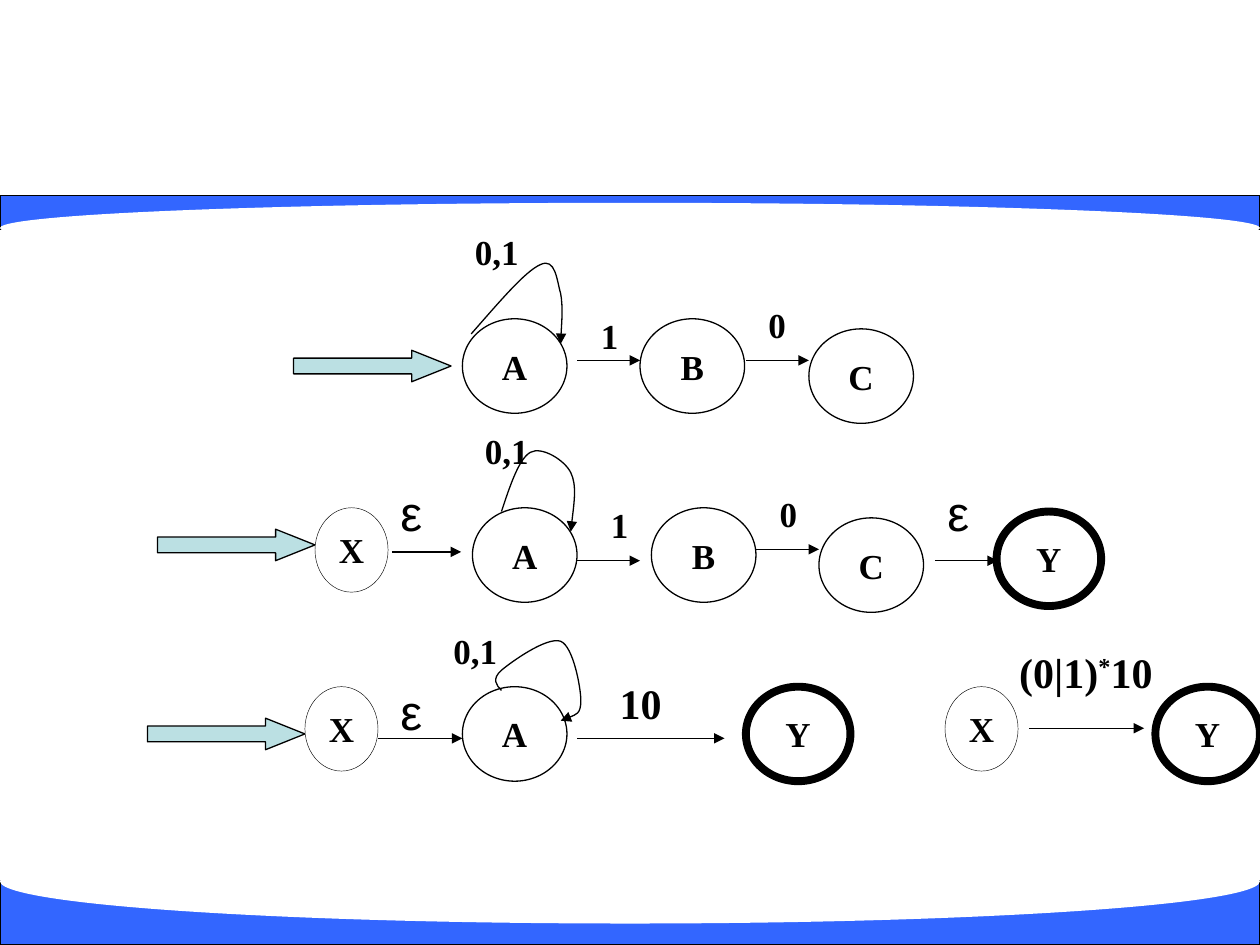
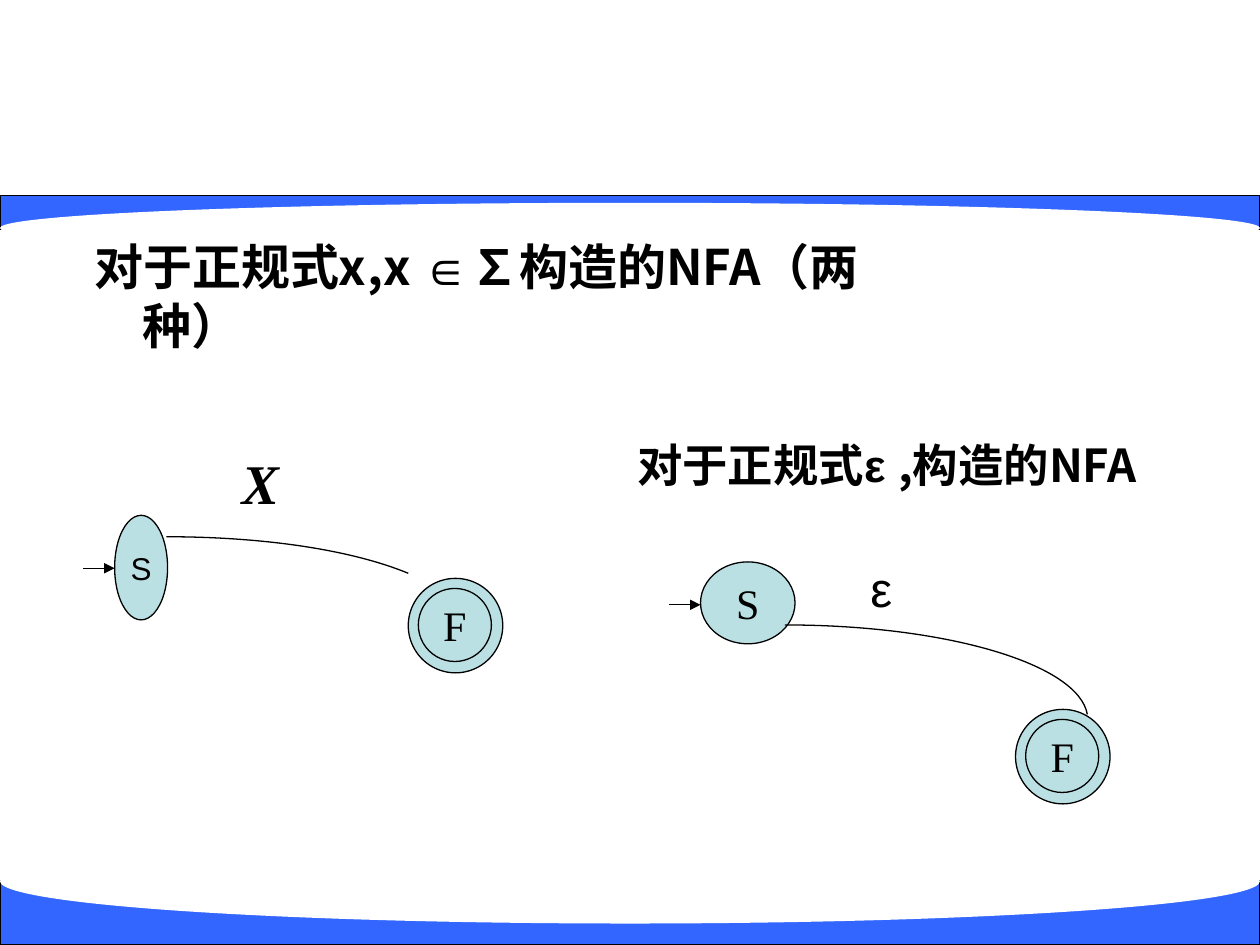
from dataclasses import dataclass
from typing import Any, NamedTuple

from lxml import etree
from pptx import Presentation
from pptx.dml.color import RGBColor
from pptx.enum.shapes import MSO_CONNECTOR, MSO_SHAPE
from pptx.enum.text import MSO_ANCHOR, PP_ALIGN
from pptx.oxml.ns import qn
from pptx.util import Emu, Pt

PX = 9144
ELLIPSE, RECT, ARROW = MSO_SHAPE.OVAL, MSO_SHAPE.RECTANGLE, MSO_SHAPE.RIGHT_ARROW
STRAIGHT = MSO_CONNECTOR.STRAIGHT
LEFT, CENTER = PP_ALIGN.LEFT, PP_ALIGN.CENTER
TOP, MIDDLE, BOTTOM = MSO_ANCHOR.TOP, MSO_ANCHOR.MIDDLE, MSO_ANCHOR.BOTTOM


@dataclass(frozen=True)
class Theme:
    black: RGBColor = RGBColor(0, 0, 0)
    white: RGBColor = RGBColor(255, 255, 255)
    band: RGBColor = RGBColor(0x33, 0x66, 0xFF)
    accent: RGBColor = RGBColor(0xBB, 0xE0, 0xE3)
    serif: str = "Times New Roman"
    sans: str = "Arial"
    cjk: str = "Noto Sans CJK SC"
    hairline: float = 0.25
    thin: float = 0.75
    thick: float = 4.5
    small: float = 18
    state: float = 20
    word: float = 24
    subhead: float = 25.9
    heading: float = 28
    symbol: float = 32


T = Theme()


class Box(NamedTuple):
    x: int
    y: int
    w: int
    h: int


class Run(NamedTuple):
    text: str
    font: str = T.serif
    size: float = T.state
    bold: bool = True
    italic: bool = False
    superscript: bool = False


@dataclass(frozen=True)
class State:
    x: int
    y: int
    run: Run | None
    w: int = 83
    h: int = 75
    line: float = T.thin
    fill: RGBColor = T.white


class Label(NamedTuple):
    box: Box
    runs: list[Run]
    wrap: bool = False
    align: Any = LEFT
    anchor: Any = TOP
    spacing: float | None = None
    hanging: int = 0


class Edge(NamedTuple):
    x1: int
    y: int
    x2: int


def style(target: Any, values: dict[str, Any]) -> None:
    for name, value in values.items():
        setattr(target, name, value)


def emu(*lengths: int) -> list[Emu]:
    return [Emu(n * PX) for n in lengths]


def outline(s: Any, width: float, arrow: bool = False) -> None:
    s.line.color.rgb = T.black
    s.line.width = Pt(width)
    if arrow:
        ln = s._element.spPr.find(qn("a:ln"))
        etree.SubElement(ln, qn("a:tailEnd"), type="triangle")


def draw_shape(shapes: Any, kind: Any, box: Box, fill: RGBColor, line: float = 0) -> Any:
    s = shapes.add_shape(kind, *emu(*box))
    s.shadow.inherit = False
    s.fill.solid()
    s.fill.fore_color.rgb = fill
    if line:
        outline(s, line)
    else:
        s.line.fill.background()
    return s


def write(tf: Any, label: Label) -> None:
    inset_x, inset_y = emu(10, 5)
    style(tf, dict(word_wrap=label.wrap, vertical_anchor=label.anchor,
                   margin_left=inset_x, margin_right=inset_x,
                   margin_top=inset_y, margin_bottom=inset_y))
    p = tf.paragraphs[0]
    style(p, dict(alignment=label.align, line_spacing=label.spacing))
    if label.hanging:
        indent = label.hanging * PX
        p_pr = p._p.get_or_add_pPr()
        p_pr.set("marL", str(indent))
        p_pr.set("indent", str(-indent))
    for run in label.runs:
        r = p.add_run()
        r.text = run.text
        style(r.font, dict(name=run.font, size=Pt(run.size), bold=run.bold, italic=run.italic))
        r.font.color.rgb = T.black
        r_pr = r._r.get_or_add_rPr()
        etree.SubElement(r_pr, qn("a:ea"), typeface=T.cjk)
        if run.superscript:
            r_pr.set("baseline", "30000")


def draw_label(shapes: Any, label: Label) -> None:
    write(shapes.add_textbox(*emu(*label.box)).text_frame, label)


def draw_state(shapes: Any, state: State) -> None:
    box = Box(state.x, state.y, state.w, state.h)
    s = draw_shape(shapes, ELLIPSE, box, state.fill, state.line)
    if state.run:
        write(s.text_frame, Label(box, [state.run], align=CENTER, anchor=MIDDLE))


def draw_edge(shapes: Any, edge: Edge) -> None:
    s = shapes.add_connector(STRAIGHT, *emu(edge.x1, edge.y, edge.x2, edge.y))
    outline(s, T.thin, arrow=True)
    etree.SubElement(s._element.spPr, qn("a:effectLst"))


def draw_curve(shapes: Any, points: list[tuple[int, int]], arrow: bool = False) -> None:
    builder = shapes.build_freeform(*points[0], scale=PX)
    builder.add_line_segments(points[1:], close=False)
    s = builder.convert_to_shape()
    s.shadow.inherit = False
    s.fill.background()
    outline(s, T.thin, arrow)
    outline_path = next(s._element.iter(qn("a:path")))
    segments = outline_path.findall(qn("a:lnTo"))
    for i in range(0, len(segments), 3):
        cubic = etree.SubElement(outline_path, qn("a:cubicBezTo"))
        for segment in segments[i:i + 3]:
            cubic.append(segment[0])
            outline_path.remove(segment)


def draw_bands(shapes: Any) -> None:
    for band, cutout in ((Box(0, 155, 1000, 27), Box(0, 161, 1000, 40)),
                         (Box(0, 699, 1000, 51), Box(0, 666, 1000, 67))):
        draw_shape(shapes, RECT, band, T.band, T.thin)
        draw_shape(shapes, ELLIPSE, cutout, T.white)


def inner(name: str, x: int, y: int) -> State:
    return State(x, y, Run(name))


def initial(x: int, y: int) -> State:
    return State(x, y, Run("X"), 58, 67, T.hairline)


def final(x: int, y: int) -> State:
    return State(x, y, Run("Y"), line=T.thick)


def symbols(text: str, x: int, y: int, w: int = 34) -> Label:
    return Label(Box(x, y, w, 44), [Run(text)])


def epsilon(x: int, y: int) -> Label:
    return Label(Box(x, y, 75, 57), [Run("ε", T.sans, T.heading, False)], wrap=True)


def draw_elimination(shapes: Any) -> None:
    edges = [Edge(458, 286, 508), Edge(592, 286, 642),
             Edge(311, 438, 366), Edge(458, 445, 508), Edge(600, 436, 650), Edge(742, 445, 792),
             Edge(300, 586, 367), Edge(458, 586, 575), Edge(817, 578, 908)]
    states = [inner("A", 367, 253), inner("B", 508, 253), inner("C", 642, 261),
              initial(250, 403), inner("A", 375, 403), inner("B", 517, 403),
              inner("C", 650, 411), final(791, 406),
              initial(242, 545), inner("A", 367, 545), final(592, 545),
              initial(750, 545), final(917, 545)]
    labels = [symbols("0,1", 367, 178, 55), symbols("1", 467, 245), symbols("0", 600, 236),
              symbols("0,1", 375, 336, 55), symbols("1", 475, 395), symbols("0", 609, 386),
              symbols("0,1", 350, 495, 55),
              epsilon(308, 378), epsilon(742, 378), epsilon(308, 536),
              Label(Box(482, 533, 53, 50), [Run("10", size=T.word)]),
              Label(Box(799, 508, 126, 50), [Run("(0|1)", size=T.word),
                                             Run("*", size=T.word, superscript=True),
                                             Run("10", size=T.word)])]
    loops = [
        [(374, 265), (396, 240), (417, 215), (429, 210), (441, 204), (442, 223), (445, 233),
         (447, 244), (445, 267), (445, 273)],
        [(398, 406), (405, 385), (412, 364), (421, 359), (430, 354), (448, 365), (453, 375),
         (458, 385), (455, 404), (453, 422)],
        [(398, 548), (394, 544), (390, 539), (398, 532), (405, 526), (434, 505), (445, 509),
         (455, 513), (461, 546), (461, 556), (461, 567), (453, 569), (445, 572)],
    ]
    for x, y in ((233, 278), (125, 420), (117, 570)):
        s = draw_shape(shapes, ARROW, Box(x, y, 125, 25), T.accent, T.thin)
        s.adjustments[1] = 1.25
    for edge in edges:
        draw_edge(shapes, edge)
    for state in states:
        draw_state(shapes, state)
    for label in labels:
        draw_label(shapes, label)
    for loop in loops:
        draw_curve(shapes, loop, arrow=True)


def draw_accepting(shapes: Any, x: int, y: int) -> None:
    draw_state(shapes, State(x, y, None, 75, 75, fill=T.accent))
    draw_state(shapes, State(x + 8, y + 8, Run("F", size=T.word, bold=False), 58, 58, fill=T.accent))


def draw_basic_nfas(shapes: Any) -> None:
    draw_label(shapes, Label(Box(65, 183, 671, 106),
                             [Run("对于正规式x,x ", T.cjk, T.heading),
                              Run("∈", T.sans, T.heading),
                              Run("∑构造的NFA（两种）", T.cjk, T.heading)],
                             wrap=True, hanging=38))
    draw_label(shapes, Label(Box(476, 328, 456, 68),
                             [Run("对于正规式", T.cjk, T.subhead),
                              Run("ε ", T.sans, T.subhead),
                              Run(",构造的NFA", T.cjk, T.subhead)],
                             wrap=True, align=CENTER, anchor=BOTTOM, spacing=0.9))
    draw_label(shapes, Label(Box(182, 351, 75, 64),
                             [Run("X", size=T.symbol, italic=True)], wrap=True))
    draw_label(shapes, epsilon(681, 438))
    for edge in (Edge(66, 451, 91), Edge(531, 480, 556)):
        draw_edge(shapes, edge)
    for x, y in ((324, 459), (806, 563)):
        draw_accepting(shapes, x, y)
    draw_state(shapes, State(91, 409, Run("S", T.sans, T.small, False), 42, 83, fill=T.accent))
    draw_state(shapes, State(556, 446, Run("S", size=T.word, bold=False), 75, 65, fill=T.accent))
    draw_curve(shapes, [(132, 426), (208, 426), (278, 436), (324, 455)])
    draw_curve(shapes, [(623, 496), (751, 496), (856, 527), (863, 567)])


def main() -> None:
    prs = Presentation()
    prs.slide_width, prs.slide_height = emu(1000, 750)
    for draw in (draw_elimination, draw_basic_nfas):
        shapes = prs.slides.add_slide(prs.slide_layouts[6]).shapes
        draw_bands(shapes)
        draw(shapes)
    prs.save("out.pptx")


if __name__ == "__main__":
    main()
